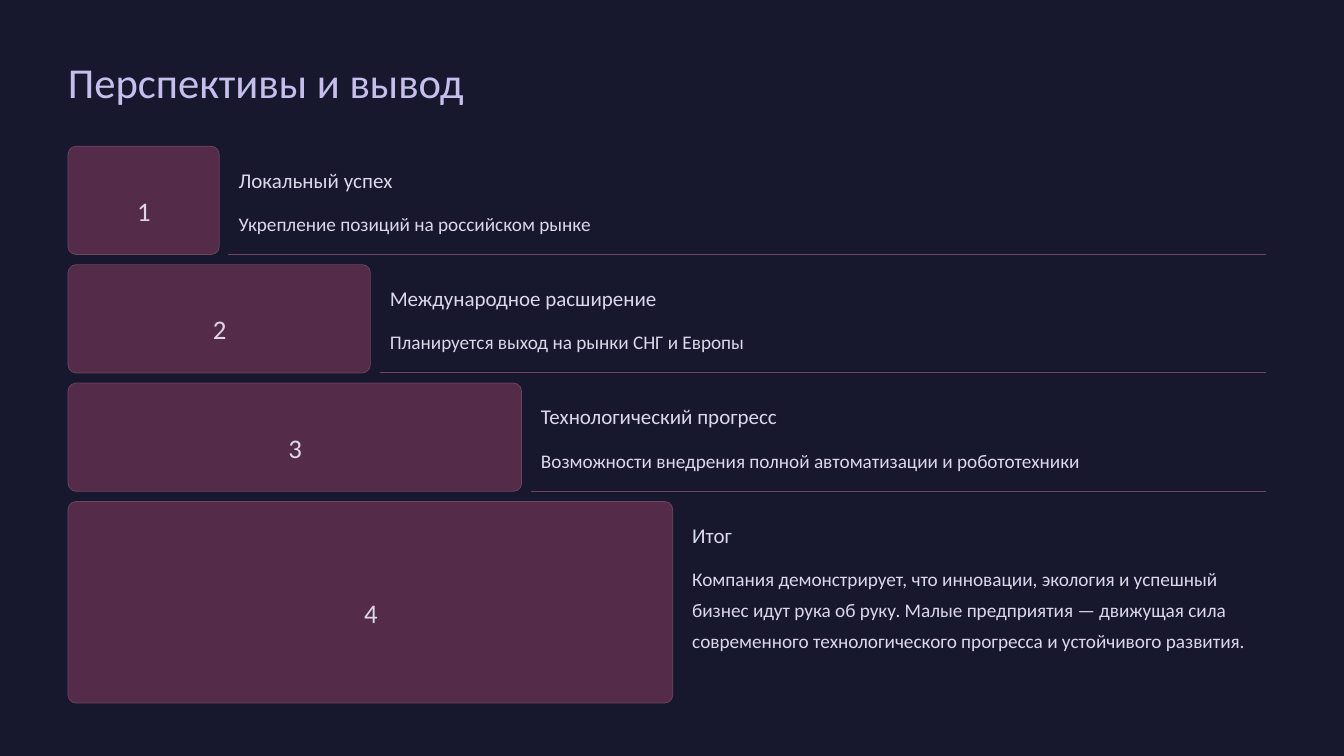
import pptx
import pptx.dml.color
import pptx.enum.shapes
import pptx.enum.text
import pptx.oxml
import pptx.util

Inches = pptx.util.Inches
Pt = pptx.util.Pt
CENTER = pptx.enum.text.PP_ALIGN.CENTER
LEFT = pptx.enum.text.PP_ALIGN.LEFT

NIGHT, LILAC, PALE, PLUM, MAUVE = "17182E", "C6BFEE", "DAD8E9", "542C49", "6D4562"
TITLE = {"size": 36.5, "color": LILAC, "spacing": 46}
NUMBER = {"size": 23, "color": PALE, "spacing": 37, "align": CENTER}
HEADING = {"size": 18, "color": PALE, "spacing": 23}
BODY = {"size": 16.5, "color": PALE, "spacing": 26.5}

STEPS = [
    ("Локальный успех", "Укрепление позиций на российском рынке", 1.29),
    ("Международное расширение", "Планируется выход на рынки СНГ и Европы", 1.29),
    ("Технологический прогресс", "Возможности внедрения полной автоматизации и робототехники", 1.29),
    ("Итог", "Компания демонстрирует, что инновации, экология и успешный бизнес идут рука об руку. "
     "Малые предприятия — движущая сила современного технологического прогресса "
     "и устойчивого развития.", 2.4),
]
LEFT_EDGE, RIGHT_EDGE, FIRST_TOP = 0.81, 15.07, 1.74
STEP_WIDTH, ROW_GAP = 1.8, 0.12


def color(value):
    """Return the colour for a hex string."""
    return pptx.dml.color.RGBColor.from_string(value)


def add_text(slide, text, box, style, wrap=False):
    """Place one paragraph of text in a box without insets."""
    frame = slide.shapes.add_textbox(*map(Inches, box)).text_frame
    settings = {"margin_left": 0, "margin_top": 0, "margin_right": 0,
                "margin_bottom": 0, "word_wrap": wrap}
    for name, value in settings.items():
        setattr(frame, name, value)
    paragraph = frame.paragraphs[0]
    paragraph.text = text
    paragraph.alignment = style.get("align", LEFT)
    paragraph.line_spacing = Pt(style["spacing"])
    font = paragraph.runs[0].font
    for name, value in {"name": "Calibri", "size": Pt(style["size"])}.items():
        setattr(font, name, value)
    font.color.rgb = color(style["color"])


def add_bar(slide, number, box):
    """Draw a rounded bar with its number in the middle."""
    left, top, width, height = box
    shape = slide.shapes.add_shape(
        pptx.enum.shapes.MSO_SHAPE.ROUNDED_RECTANGLE, *map(Inches, box))
    shape.shadow.inherit = False
    shape.adjustments[0] = 0.097 / min(width, height)
    shape.fill.solid()
    shape.fill.fore_color.rgb = color(PLUM)
    shape.line.color.rgb = color(MAUVE)
    shape.line.width = Pt(0.6)
    number_box = (left + width / 2 - 0.16, top + height / 2 - 0.2, 0.33, 0.41)
    add_text(slide, str(number), number_box, NUMBER)


def add_divider(slide, left, right, y):
    """Draw a thin horizontal line."""
    line = slide.shapes.add_connector(
        pptx.enum.shapes.MSO_CONNECTOR.STRAIGHT, *map(Inches, (left, y, right, y)))
    line.line.color.rgb = color(MAUVE)
    line.line.width = Pt(0.9)
    line._element.spPr.append(pptx.oxml.parse_xml(
        '<a:effectLst xmlns:a="http://schemas.openxmlformats.org/drawingml/2006/main"/>'))


def add_step(slide, number, heading, body, box, last):
    """Build one row: numbered bar, heading, body and divider."""
    left, top, width, height = box
    bar_width = STEP_WIDTH * number
    bar_right = left + bar_width
    text_left = bar_right + 0.23
    text_width = left + width - text_left - 0.11
    add_bar(slide, number, (left, top, bar_width, height))
    add_text(slide, heading, (text_left, top + 0.23, text_width, 0.32), HEADING)
    add_text(slide, body, (text_left, top + 0.69, text_width, height - 0.92), BODY, wrap=last)
    if not last:
        add_divider(slide, bar_right + 0.11, left + width, top + height)


def add_steps(slide, left, top, width):
    """Stack the rows of the staircase downwards."""
    for number, (heading, body, height) in enumerate(STEPS, 1):
        add_step(slide, number, heading, body, (left, top, width, height), number == len(STEPS))
        top += height + ROW_GAP


def main():
    """Build and save the slide."""
    presentation = pptx.Presentation()
    presentation.slide_width = Inches(16)
    presentation.slide_height = Inches(9)
    slide = presentation.slides.add_slide(presentation.slide_layouts[6])
    slide.background.fill.solid()
    slide.background.fill.fore_color.rgb = color(NIGHT)
    add_text(slide, "Перспективы и вывод", (LEFT_EDGE, 0.64, 5.64, 0.64), TITLE)
    add_steps(slide, LEFT_EDGE, FIRST_TOP, RIGHT_EDGE - LEFT_EDGE)
    presentation.save("out.pptx")


if __name__ == "__main__":
    main()
